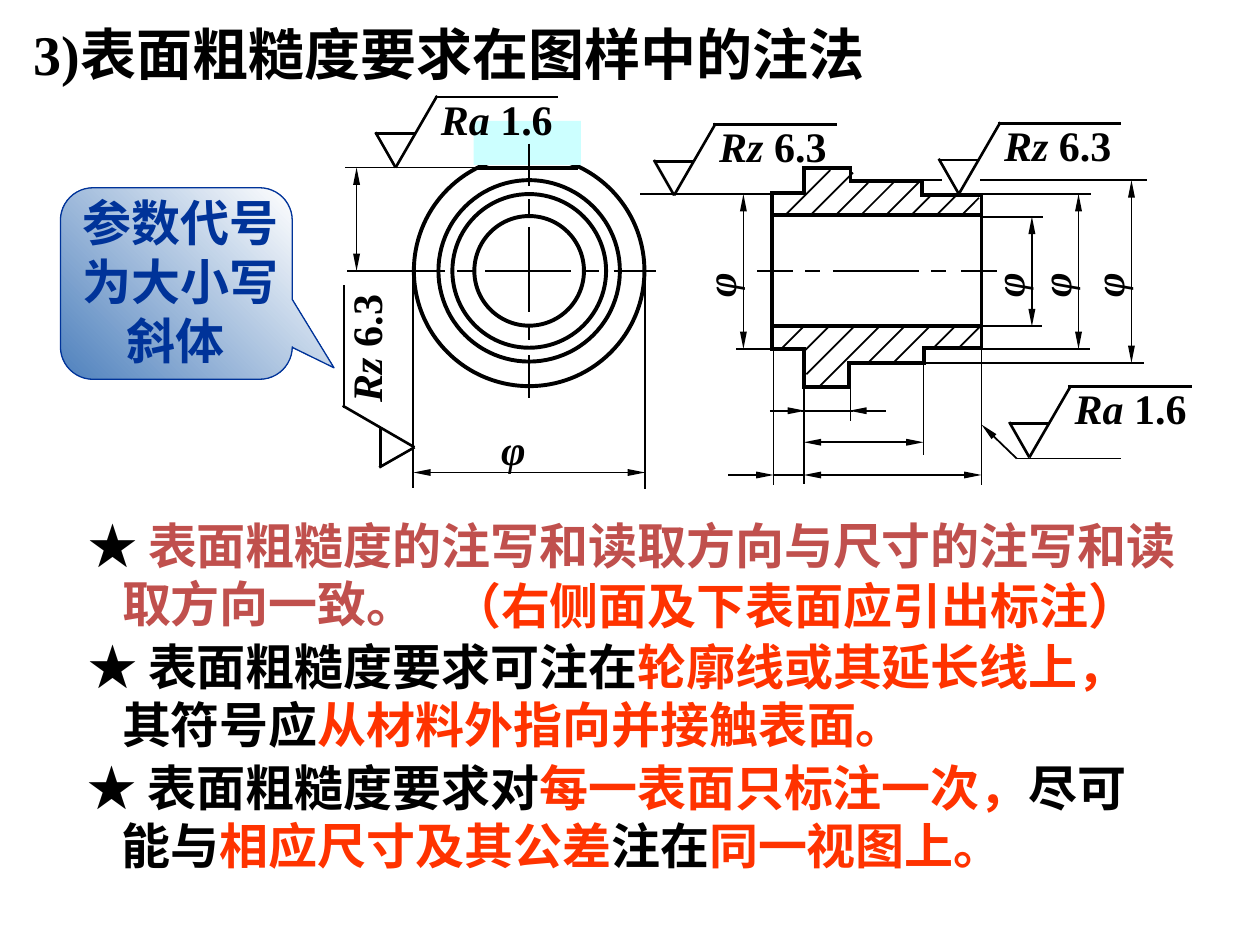
from dataclasses import dataclass
from itertools import pairwise

from lxml import etree
from pptx import Presentation
from pptx import util as u
from pptx.dml.color import RGBColor
from pptx.enum import shapes, text
from pptx.oxml.ns import qn


@dataclass(frozen=True)
class Theme:
    black: str = "000000"
    navy: str = "003399"
    orange: str = "FF3300"
    brick: str = "C0504D"
    blue: str = "4F81BD"
    white: str = "FFFFFF"
    cyan: str = "CCFFFF"
    serif: str = "Times New Roman"
    sans: str = "Noto Sans CJK SC"
    title: float = 32
    body: float = 28
    label: float = 24
    thin: float = 1
    mark: float = 1.5
    outline: float = 2.25


@dataclass(frozen=True)
class Roughness:
    x: float
    y: float
    symbol: str
    value: str
    width: float
    turned: bool = False


@dataclass(frozen=True)
class Diameter:
    x: float
    top: float
    bottom: float
    top_extension: tuple[float, float]
    bottom_extension: tuple[float, float]


THEME = Theme()
Point = tuple[float, float]

ROUGHNESS = [
    Roughness(3.14, 1.33, "Ra", "1.6", 1.09),
    Roughness(3.29, 3.55, "Rz", "6.3", 1.05, turned=True),
    Roughness(7.61, 1.54, "Rz", "6.3", 1.05),
    Roughness(5.35, 1.55, "Rz", "6.3", 1.05),
    Roughness(8.17, 3.63, "Ra", "1.6", 1.09),
]
DIAMETERS = [
    Diameter(5.9, 1.54, 2.77, (6.12, 5.08), (6.13, 5.84)),
    Diameter(8.56, 1.54, 2.77, (7.76, 8.66), (7.77, 8.65)),
    Diameter(8.19, 1.72, 2.59, (7.79, 8.28), (7.78, 8.27)),
    Diameter(8.98, 1.43, 2.88, (7.78, 9.1), (7.33, 9.08)),
]
CENTRE_DASHES = [(-1.01, -0.67), (-0.57, -0.45), (-0.35, 0.33), (0.43, 0.55), (0.67, 1.01)]
UPPER_PROFILE = [(6.13, 1.53), (6.38, 1.53), (6.38, 1.33), (6.75, 1.33),
                 (6.75, 1.44), (7.32, 1.44), (7.32, 1.55), (7.79, 1.55)]
LOWER_PROFILE = [(6.13, 2.77), (6.38, 2.77), (6.38, 3.07), (6.74, 3.07),
                 (6.74, 2.88), (7.33, 2.88), (7.33, 2.76), (7.79, 2.76)]
UPPER_HATCH = [0.36, 0.34, 0.26, 0.28, 0.27, 0.17, 0.17, 0.14]
LOWER_HATCH = [0.19, 0.2, 0.38, 0.48, 0.28, 0.29, 0.16, 0.17]
HATCH_PITCH = 0.2


def colour(code: str) -> RGBColor:
    return RGBColor.from_string(code)


def draw_line(slide, start: Point, end: Point, width=THEME.thin, head=False, tail=False, square=False):
    line = slide.shapes.add_connector(
        shapes.MSO_CONNECTOR.STRAIGHT, *(u.Inches(value) for value in (*start, *end)))
    line.line.color.rgb = colour(THEME.black)
    line.line.width = u.Pt(width)
    stroke = line.line._get_or_add_ln()
    if square:
        stroke.set("cap", "sq")
    for wanted, tag in ((head, "a:headEnd"), (tail, "a:tailEnd")):
        if wanted:
            etree.SubElement(stroke, qn(tag), type="triangle", w="sm", len="lg")
    etree.SubElement(line._element.spPr, qn("a:effectLst"))


def draw_outline(slide, points: list[Point]):
    for start, end in pairwise(points):
        draw_line(slide, start, end, THEME.outline, square=True)


def draw_shape(slide, kind, left: float, top: float, width: float, height: float):
    shape = slide.shapes.add_shape(
        kind, u.Inches(left), u.Inches(top), u.Inches(width), u.Inches(height))
    shape.shadow.inherit = False
    shape.fill.background()
    shape.line.fill.background()
    return shape


def add_text(slide, left, top, width, height, *lines, size=THEME.body, font=THEME.sans,
             indent=0.0, wrap=True, rotation=0, anchor=text.MSO_ANCHOR.TOP):
    box = slide.shapes.add_textbox(u.Inches(left), u.Inches(top), u.Inches(width), u.Inches(height))
    box.rotation = rotation
    frame = box.text_frame
    frame.word_wrap = wrap
    frame.auto_size = text.MSO_AUTO_SIZE.SHAPE_TO_FIT_TEXT
    frame.vertical_anchor = anchor
    for index, line in enumerate(lines):
        para = frame.add_paragraph() if index else frame.paragraphs[0]
        if index and indent:
            para._p.get_or_add_pPr().set("marL", str(u.Inches(indent)))
        for words, shade, *italic in line:
            span = para.add_run()
            span.text = words
            span.font.size = u.Pt(size)
            span.font.name = font
            span.font.bold = True
            span.font.italic = bool(italic)
            span.font.color.rgb = colour(shade)
            etree.SubElement(span.font._element, qn("a:ea"), typeface=THEME.sans)


def add_label(slide, left, top, width, *spans, wrap=False, rotation=0):
    add_text(slide, left, top, width, 0.5, spans, size=THEME.label, font=THEME.serif,
             wrap=wrap, rotation=rotation)


def draw_roughness(slide, mark: Roughness):
    def place(across: float, down: float) -> Point:
        if mark.turned:
            across, down = down, -across
        return mark.x + across, mark.y + down

    for start, end in [((-0.16, -0.28), (0, 0)), ((0, 0), (0.33, -0.57)),
                       ((-0.16, -0.27), (0.16, -0.27)), ((0.31, -0.56), (1.29, -0.56))]:
        draw_line(slide, place(*start), place(*end), THEME.mark)
    middle, centre = place(0.26 + mark.width / 2, -0.39)
    add_label(slide, middle - mark.width / 2, centre - 0.25, mark.width,
              (mark.symbol, THEME.black, True), (f" {mark.value}", THEME.black),
              rotation=270 if mark.turned else 0)


def draw_diameter(slide, size: Diameter):
    for y, (start, end) in ((size.top, size.top_extension), (size.bottom, size.bottom_extension)):
        draw_line(slide, (start, y), (end, y))
    draw_line(slide, (size.x, size.top), (size.x, size.bottom), head=True, tail=True)
    add_label(slide, size.x - 0.5, 1.9, 0.62, ("φ", THEME.black, True), wrap=True, rotation=270)


def draw_front_view(slide):
    for diameter in (0.87, 1.22, 1.44, 1.83):
        ring = draw_shape(slide, shapes.MSO_SHAPE.OVAL, 4.2 - diameter / 2, 2.15 - diameter / 2,
                          diameter, diameter)
        ring.line.color.rgb = colour(THEME.black)
        ring.line.width = u.Pt(THEME.outline)
    for start, end in CENTRE_DASHES:
        draw_line(slide, (4.2 + start, 2.15), (4.2 + end, 2.15))
    patch = draw_shape(slide, shapes.MSO_SHAPE.RECTANGLE, 3.76, 0.96, 0.85, 0.35)
    patch.fill.solid()
    patch.fill.fore_color.rgb = colour(THEME.cyan)
    draw_outline(slide, [(3.8, 1.33), (4.57, 1.33)])
    for start, end in CENTRE_DASHES:
        draw_line(slide, (4.2, 2.15 + start), (4.2, 2.15 + end))
    for start, end in [((3.2, 2.15), (2.75, 2.15)), ((3.82, 1.33), (2.74, 1.33)),
                       ((3.28, 2.14), (3.28, 3.87)), ((5.12, 2.15), (5.12, 3.88))]:
        draw_line(slide, start, end)
    draw_line(slide, (2.83, 2.15), (2.83, 1.33), head=True, tail=True)
    draw_line(slide, (3.28, 3.75), (5.12, 3.75), head=True, tail=True)
    add_label(slide, 3.88, 3.31, 0.53, ("φ", THEME.black, True))


def draw_section_view(slide):
    for points in (UPPER_PROFILE, LOWER_PROFILE, [(6.13, 1.53), (6.13, 2.77)],
                   [(7.79, 1.55), (7.79, 2.76)], [(6.14, 1.71), (7.79, 1.71)],
                   [(6.14, 2.59), (7.79, 2.59)]):
        draw_outline(slide, points)
    for start, end in CENTRE_DASHES:
        draw_line(slide, (6.96 + max(start, -0.95), 2.15), (6.96 + min(end, 0.95), 2.15))
    for index, (upper, lower) in enumerate(zip(UPPER_HATCH, LOWER_HATCH)):
        foot, crest = 6.23 + HATCH_PITCH * index, 6.38 + HATCH_PITCH * index
        draw_line(slide, (foot, 1.71), (foot + upper, 1.71 - upper))
        draw_line(slide, (crest - lower, 2.59 + lower), (crest, 2.59))
    for size in DIAMETERS:
        draw_diameter(slide, size)
    draw_line(slide, (7.29, 1.43), (7.48, 1.43))
    for x, top, bottom in [(6.14, 2.75, 3.85), (6.38, 3.07, 3.84), (6.75, 3.07, 3.34),
                           (7.33, 2.89, 3.61), (7.79, 2.75, 3.85)]:
        draw_line(slide, (x, top), (x, bottom))
    for y, start, end, head, tail in [
            (3.26, 6.36, 6.77, False, False), (3.26, 6.74, 7.03, True, False),
            (3.26, 6.11, 6.39, False, True), (3.51, 6.38, 7.33, True, True),
            (3.77, 6.38, 7.79, True, True), (3.77, 6.38, 6.14, False, False),
            (3.77, 6.14, 5.78, True, False)]:
        draw_line(slide, (start, y), (end, y), head=head, tail=tail)
    draw_line(slide, (8.07, 3.64), (7.79, 3.37), tail=True)
    draw_line(slide, (8.07, 3.64), (8.9, 3.64))


def draw_callout(slide):
    bubble = draw_shape(slide, shapes.MSO_SHAPE.ROUNDED_RECTANGULAR_CALLOUT, 0.48, 1.49, 1.84, 1.52)
    for index, value in enumerate((0.68, 0.44, 0.17)):
        bubble.adjustments[index] = value
    bubble.fill.gradient()
    bubble.fill.gradient_angle = 45
    for stop, shade in zip(bubble.fill.gradient_stops, (THEME.blue, THEME.white)):
        stop.color.rgb = colour(shade)
    bubble.line.color.rgb = colour(THEME.navy)
    bubble.line.width = u.Pt(0.75)
    add_text(slide, 0.56, 1.48, 1.87, 1.5, [("参数代号为大小写", THEME.navy)],
             [("斜体", THEME.navy)], font=THEME.serif, indent=0.35)


def add_rules(slide):
    black, orange, brick = THEME.black, THEME.orange, THEME.brick
    add_text(slide, 0.6, 4.04, 8.99, 1.03,
             [("★ ", black), ("表面粗糙度的注写和读取方向与尺寸的注写和读", brick)],
             [("取方向一致。", brick)], indent=0.27, anchor=text.MSO_ANCHOR.MIDDLE)
    add_text(slide, 0.6, 5, 8.99, 1.03,
             [("★ 表面粗糙度要求可注在", black), ("轮廓线或其延长线上，", orange)],
             [("其符号应", black), ("从材料外指向并接触表面。", orange)], indent=0.27)
    add_text(slide, 0.6, 5.96, 9.04, 1.03,
             [("★ 表面粗糙度要求对", black), ("每一表面只标注一次，", orange), ("尽可", black)],
             [("能与", black), ("相应尺寸及其公差", orange), ("注在", black),
              ("同一视图上。", orange)], indent=0.27)
    add_text(slide, 3.49, 4.52, 5.65, 0.57, [("（右侧面及下表面应引出标注）", orange)], wrap=False)


def main():
    deck = Presentation()
    deck.slide_width, deck.slide_height = u.Inches(10), u.Inches(7.5)
    slide = deck.slides.add_slide(deck.slide_layouts[6])
    add_text(slide, 0.17, 0.11, 8.21, 0.63, [("3)表面粗糙度要求在图样中的注法", THEME.black)],
             size=THEME.title, font=THEME.serif)
    draw_callout(slide)
    draw_front_view(slide)
    draw_section_view(slide)
    for mark in ROUGHNESS:
        draw_roughness(slide, mark)
    add_rules(slide)
    deck.save("out.pptx")


if __name__ == "__main__":
    main()
